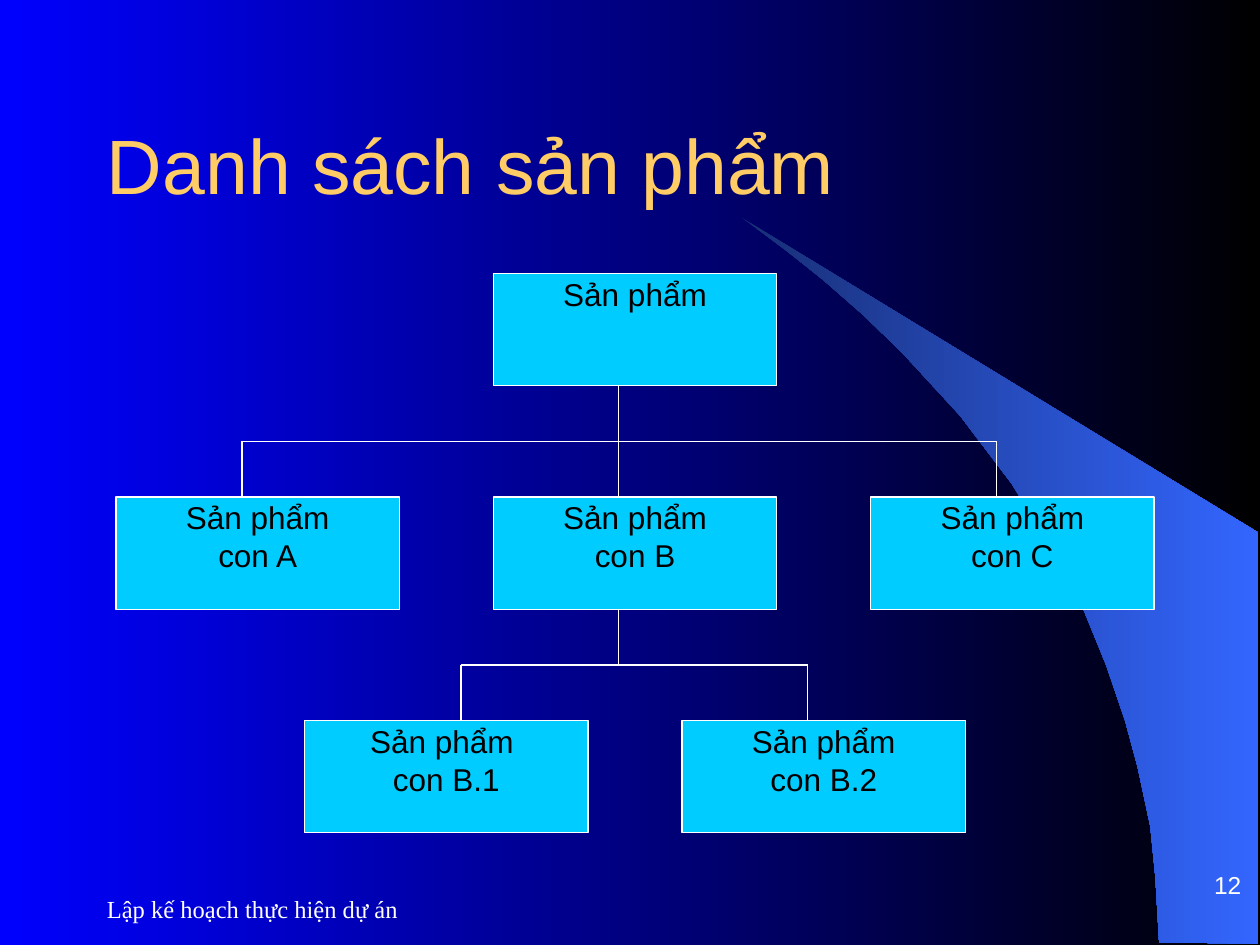
from lxml import etree
from pptx import Presentation
from pptx.dml.color import RGBColor as RGB
from pptx.enum.shapes import MSO_CONNECTOR as LINE, MSO_SHAPE as SHAPE
from pptx.enum.text import MSO_ANCHOR as ANCHOR, PP_ALIGN as ALIGN
from pptx.oxml.ns import qn
from pptx.util import Inches, Pt

COLORS = {
    "left": "0000FF", "right": "000000",
    "dim": "182F76", "glow": "3366FF",
    "box": "00CCFF", "line": "FFFFFF",
    "ink": "000000", "light": "FFFFFF", "title": "FFCC66",
}

# Chart grid: columns are counted in whole steps, rows from the top
LEFT, TOP = 0.92, 2.17
STEP_X, STEP_Y = 2.995, 1.775
BOX_W, BOX_H = 2.25, 0.89
NODES = [
    (2, 1, ["Sản phẩm", "con C"]),
    (1, 0, ["Sản phẩm"]),
    (0, 1, ["Sản phẩm", "con A"]),
    (1, 1, ["Sản phẩm", "con B"]),
    (0.5, 2, ["Sản phẩm ", "con B.1"]),
    (1.5, 2, ["Sản phẩm", "con B.2"]),
]
# Parent row, stem, and the drops to the children
STEM = 4.91
FORKS = [(0, [1.92, STEM, 7.91]), (1, [3.66, 6.41])]

BEAM = [
    (9.2, 7.48), (9.99, 7.49), (9.99, 4.23), (5.89, 1.73), (6.24, 1.99),
    (6.53, 2.22), (6.85, 2.5), (7.16, 2.8), (7.62, 3.3), (8.03, 3.84),
    (8.32, 4.31), (8.58, 4.79), (8.78, 5.28), (8.93, 5.72), (9.03, 6.09),
    (9.13, 6.56), (9.17, 6.96),
]


def color(name):
    return RGB.from_string(COLORS[name])


def blend(fill, *names):
    fill.gradient()
    fill.gradient_angle = 0
    for stop, name in zip(fill.gradient_stops, names):
        stop.color.rgb = color(name)


def put_text(shape, lines, size=18, font="Arial", ink="ink",
             align=ALIGN.LEFT, anchor=ANCHOR.TOP, pad=(0.1, 0.05)):
    frame = shape.text_frame
    frame.word_wrap = True
    frame.vertical_anchor = anchor
    frame.margin_left = frame.margin_right = Inches(pad[0])
    frame.margin_top = frame.margin_bottom = Inches(pad[1])
    frame.text = "\n".join(lines)
    for para in frame.paragraphs:
        para.alignment = align
        para.font.size = Pt(size)
        para.font.name = font
        para.font.color.rgb = color(ink)


def add_label(slide, place, text, **style):
    box = slide.shapes.add_textbox(*map(Inches, place))
    put_text(box, [text], **style)


def add_beam(slide):
    first, *rest = [(Inches(x), Inches(y)) for x, y in BEAM]
    pen = slide.shapes.build_freeform(*first)
    pen.add_line_segments(rest, close=True)
    beam = pen.convert_to_shape()
    beam.shadow.inherit = False
    blend(beam.fill, "dim", "glow")
    beam.line.fill.background()


def add_node(slide, col, row, lines):
    place = LEFT + col * STEP_X, TOP + row * STEP_Y, BOX_W, BOX_H
    box = slide.shapes.add_shape(SHAPE.RECTANGLE, *map(Inches, place))
    box.shadow.inherit = False
    box.fill.solid()
    box.fill.fore_color.rgb = color("box")
    box.line.color.rgb = color("line")
    box.line.width = Pt(0.75)
    put_text(box, lines, align=ALIGN.CENTER, pad=(0.02, 0.01))


def add_line(slide, *ends):
    line = slide.shapes.add_connector(LINE.STRAIGHT, *map(Inches, ends))
    line.line.color.rgb = color("line")
    line.line.width = Pt(0.75)
    etree.SubElement(line._element.spPr, qn("a:effectLst"))


def add_fork(slide, row, drops):
    start = TOP + row * STEP_Y + BOX_H
    end = TOP + (row + 1) * STEP_Y
    bus = (start + end) / 2
    add_line(slide, drops[0], bus, drops[-1], bus)
    add_line(slide, STEM, start, STEM, bus)
    for x in drops:
        add_line(slide, x, bus, x, end)


def main():
    deck = Presentation()
    deck.slide_width, deck.slide_height = Inches(10), Inches(7.5)
    slide = deck.slides.add_slide(deck.slide_layouts[6])

    # Backdrop
    blend(slide.background.fill, "left", "right")
    add_beam(slide)

    # Footer and slide number
    add_label(slide, (0.75, 6.96, 4.67, 0.5), "Lập kế hoạch thực hiện dự án",
              size=14, font="Times New Roman", ink="light",
              anchor=ANCHOR.MIDDLE)
    add_label(slide, (7.87, 6.72, 2.08, 0.42), "12", size=14, ink="light",
              align=ALIGN.RIGHT, anchor=ANCHOR.BOTTOM, pad=(0.1, 0))

    # Product tree
    for node in NODES:
        add_node(slide, *node)
    for fork in FORKS:
        add_fork(slide, *fork)

    # Title
    add_label(slide, (0.75, 0.67, 8.84, 1.25), "Danh sách sản phẩm",
              size=44, ink="title", anchor=ANCHOR.MIDDLE)

    deck.save("out.pptx")


if __name__ == "__main__":
    main()
